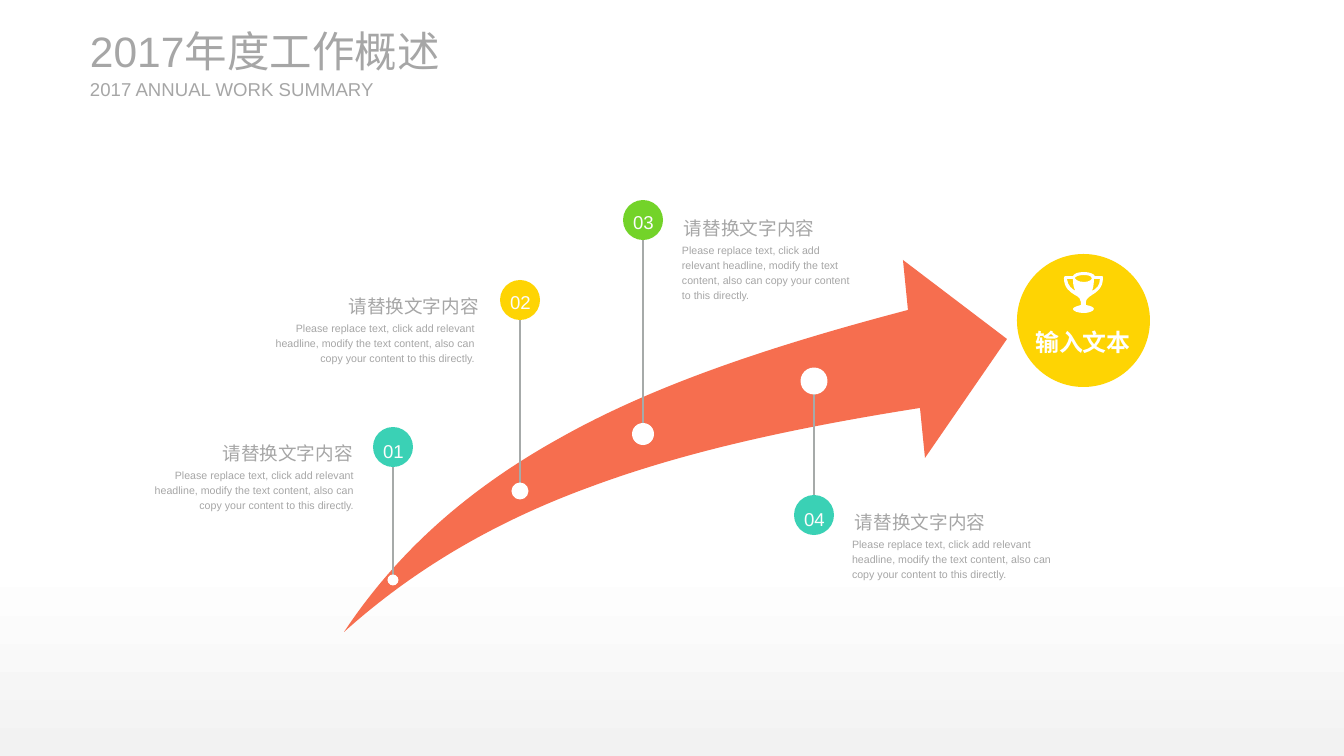
from lxml.etree import SubElement
from pptx import Presentation
from pptx.dml.color import RGBColor
from pptx.enum.shapes import MSO_CONNECTOR, MSO_SHAPE
from pptx.enum.text import MSO_ANCHOR, PP_ALIGN
from pptx.oxml.ns import qn
from pptx.util import Pt

PX = 914400 / 95.6
WIDTH, HEIGHT = 1344, 756

WHITE = RGBColor(0xFF, 0xFF, 0xFF)
NEAR_WHITE = RGBColor(0xFC, 0xFC, 0xFC)
PALE_GRAY = RGBColor(0xF2, 0xF2, 0xF2)
TEXT_GRAY = RGBColor(0xA6, 0xA6, 0xA6)
LINE_GRAY = RGBColor(0xA6, 0xAA, 0xA9)
CORAL = RGBColor(0xF6, 0x6E, 0x4F)
TEAL = RGBColor(0x3A, 0xD1, 0xB5)
YELLOW = RGBColor(0xFE, 0xD4, 0x03)
GREEN = RGBColor(0x73, 0xD3, 0x29)

LEFT, CENTER, RIGHT = PP_ALIGN.LEFT, PP_ALIGN.CENTER, PP_ALIGN.RIGHT
HEADLINE = "请替换文字内容"
DETAIL = ("Please replace text, click add relevant headline, modify the text content, "
          "also can copy your content to this directly.")

# A contour is a start point, then lines (x, y) and Bézier curves (x1, y1, x2, y2, x, y).
GROWTH_ARROW = [
    [(344, 632), (397, 552, 468, 489, 560, 438), (654, 385, 771, 346, 908, 310),
     (903, 260), (1007, 339), (925, 458), (920, 408),
     (793, 428, 684, 452, 590, 487), (494, 522, 413, 570, 344, 632)],
]
TROPHY = [
    [(1067, 279), (1073, 279), (1073, 285, 1074, 289, 1076, 291),
     (1072, 289, 1068, 286, 1067, 279)],
    [(1084, 275), (1090, 275, 1092, 277, 1092, 278), (1092, 279, 1090, 282, 1084, 282),
     (1078, 282, 1075, 279, 1075, 278), (1075, 277, 1078, 275, 1084, 275)],
    [(1092, 291), (1093, 289, 1094, 285, 1094, 279), (1100, 279),
     (1100, 286, 1096, 289, 1092, 291)],
    [(1086, 302), (1086, 299, 1089, 297, 1092, 295), (1097, 292, 1103, 288, 1103, 278),
     (1103, 277, 1103, 276, 1102, 276), (1095, 276), (1094, 274, 1090, 272, 1084, 272),
     (1077, 272, 1074, 274, 1073, 276), (1065, 276), (1065, 276, 1064, 277, 1064, 278),
     (1064, 288, 1070, 292, 1075, 295), (1079, 297, 1081, 299, 1081, 302), (1081, 305),
     (1078, 306, 1073, 307, 1073, 309), (1073, 311, 1078, 313, 1084, 313),
     (1089, 313, 1094, 311, 1094, 309), (1094, 307, 1091, 306, 1086, 305)],
]

presentation = Presentation()
presentation.slide_width = round(WIDTH * PX)
presentation.slide_height = round(HEIGHT * PX)
slide = presentation.slides.add_slide(presentation.slide_layouts[6])


def add_item(box, text="", preset=None, fill=None, size=14, color=TEXT_GRAY, bold=False,
             align=LEFT, anchor=MSO_ANCHOR.MIDDLE, spacing=1.2):
    """Add a text box, or a filled preset shape, at box (left, top, width, height) in px."""
    place = [round(length * PX) for length in box]
    if preset is not None:
        shape = slide.shapes.add_shape(preset, *place)
        shape.shadow.inherit = False
        shape.line.fill.background()
        if fill is not None:
            shape.fill.solid()
            shape.fill.fore_color.rgb = fill
        return shape
    shape = slide.shapes.add_textbox(*place)
    frame = shape.text_frame
    frame.word_wrap = True
    frame.vertical_anchor = anchor
    frame.margin_left = frame.margin_right = frame.margin_top = frame.margin_bottom = 0
    paragraph = frame.paragraphs[0]
    paragraph.alignment = align
    paragraph.line_spacing = spacing
    run = paragraph.add_run()
    run.text = text
    run.font.name = "Arial"
    run.font.size = Pt(size)
    run.font.bold = bold
    run.font.color.rgb = color
    return shape


def add_outline(contours, fill):
    """Draw closed contours as one filled freeform of straight lines and Bézier curves."""
    start_x, start_y = contours[0][0]
    builder = slide.shapes.build_freeform(round(start_x * PX), round(start_y * PX))
    for index, (start, *segments) in enumerate(contours):
        if index > 0:
            builder.move_to(*[round(value * PX) for value in start])
        values = [round(value * PX) for segment in segments for value in segment]
        builder.add_line_segments(list(zip(values[::2], values[1::2])))
    shape = builder.convert_to_shape()
    shape.shadow.inherit = False
    shape.line.fill.background()
    shape.fill.solid()
    shape.fill.fore_color.rgb = fill

    # Each curve was added as three lines: merge them into one cubic segment.
    lines = iter(list(shape.element.iter(qn("a:lnTo"))))
    for _, *segments in contours:
        for segment in segments:
            group = [next(lines) for _ in range(len(segment) // 2)]
            if len(group) == 3:
                curve = group[0].makeelement(qn("a:cubicBezTo"))
                group[0].addprevious(curve)
                for line in group:
                    curve.append(line[0])
                    line.getparent().remove(line)


# Backdrop
backdrop = add_item((0, 0, WIDTH, HEIGHT), preset=MSO_SHAPE.RECTANGLE)
backdrop.fill.gradient()
backdrop.fill.gradient_angle = 90
for stop, color, position in zip(backdrop.fill.gradient_stops, (PALE_GRAY, WHITE), (0, 0.26)):
    stop.color.rgb = color
    stop.position = position

# Heading
add_item((90, 25, 413, 52), "2017年度工作概述", size=32, spacing=1)
add_item((90, 78, 293, 23), "2017 ANNUAL WORK SUMMARY", spacing=1)

add_outline(GROWTH_ARROW, CORAL)

# Milestones: colour, x, badge y, number top, dot y, dot size, headline left, detail box, alignment
BADGE = 40
milestones = [
    (TEAL, 393, 447, 434, 580, 11, 201, (138, 466, 216, 45), RIGHT),
    (YELLOW, 520, 300, 285, 491, 17, 327, (259, 319, 216, 45), RIGHT),
    (GREEN, 643, 220, 205, 434, 22, 684, (682, 241, 179, 60), LEFT),
    (TEAL, 814, 515, 502, 381, 27, 855, (852, 535, 216, 45), LEFT),
]
for number, milestone in enumerate(milestones, 1):
    color, x, badge_y, number_top, dot_y, dot, headline_left, detail_box, align = milestone
    stem = slide.shapes.add_connector(
        MSO_CONNECTOR.STRAIGHT, *[round(length * PX) for length in (x, dot_y, x, badge_y)])
    stem.line.color.rgb = LINE_GRAY
    stem.line.width = Pt(1)
    SubElement(stem.element.spPr, qn("a:effectLst"))
    add_item((x - BADGE / 2, badge_y - BADGE / 2, BADGE, BADGE),
             preset=MSO_SHAPE.OVAL, fill=color)
    add_item((x - dot / 2, dot_y - dot / 2, dot, dot), preset=MSO_SHAPE.OVAL, fill=WHITE)
    add_item((x - 12, number_top, 25, 30), f"{number:02}", color=NEAR_WHITE, align=CENTER)
    add_item((headline_left, detail_box[1] - 29, 152, 27), HEADLINE, align=align)
    add_item(detail_box, DETAIL, size=8, align=align, anchor=MSO_ANCHOR.TOP)

# Goal
add_item((1017, 254, 133, 133), preset=MSO_SHAPE.OVAL, fill=YELLOW)
add_outline(TROPHY, WHITE)
add_item((1034, 318, 98, 39), "输入文本", size=18, color=WHITE, bold=True,
         align=CENTER, spacing=1.3)

presentation.save("out.pptx")
